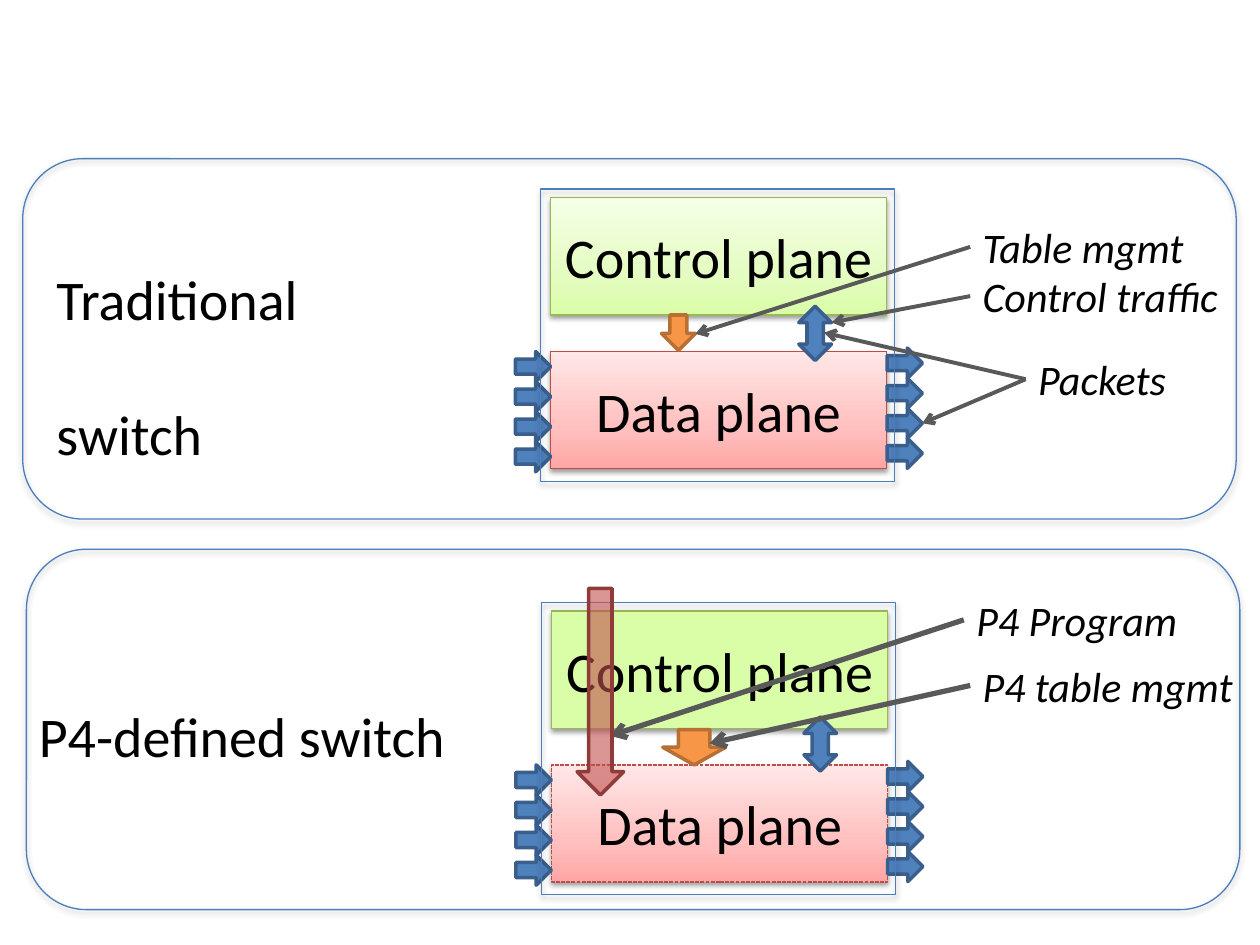
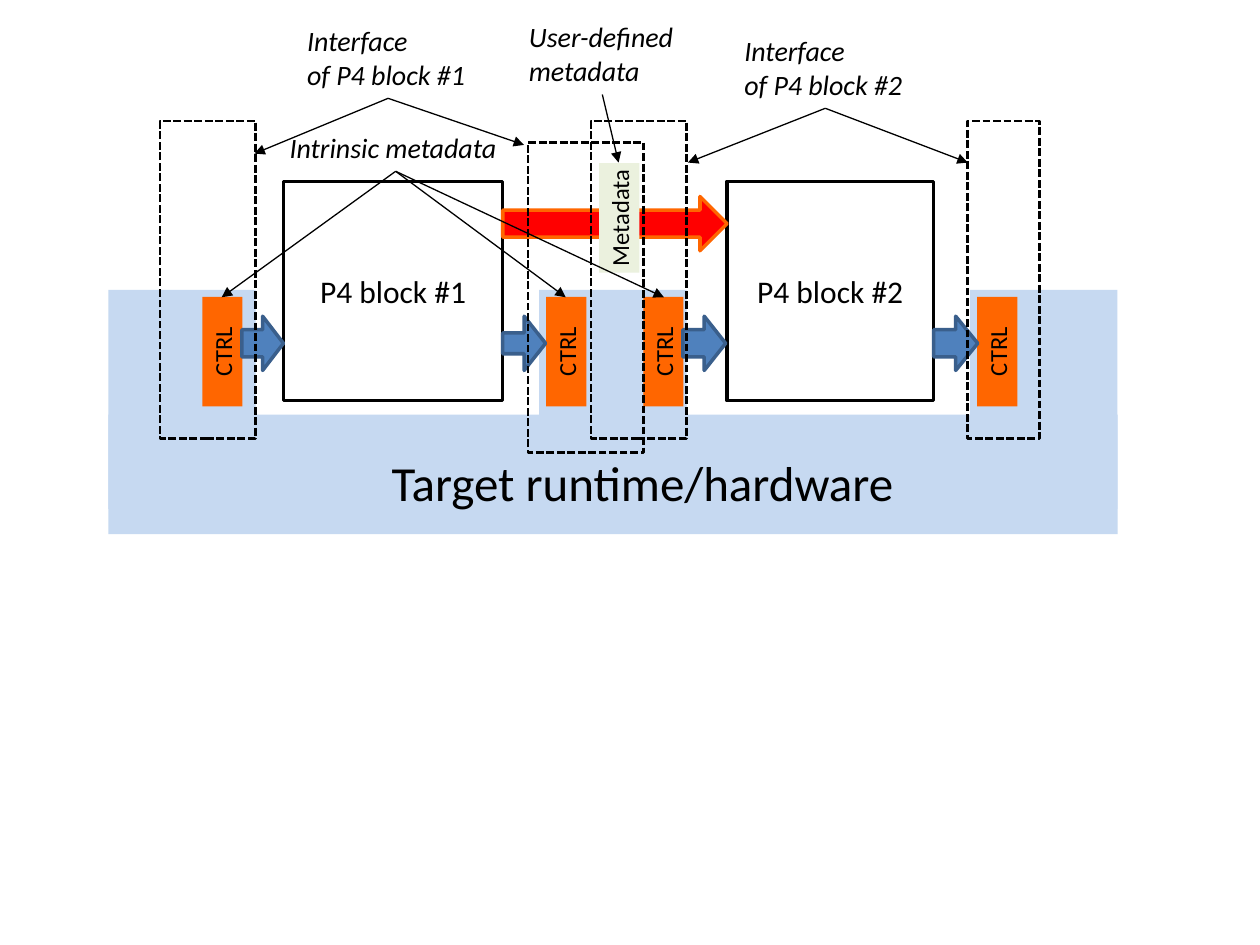
"""Build two slides on switch architecture and programmable block interfaces."""
from copy import deepcopy
from dataclasses import dataclass

from pptx import Presentation
from pptx.dml.color import RGBColor
from pptx.enum.dml import MSO_LINE as Dash
from pptx.enum.shapes import MSO_CONNECTOR, MSO_SHAPE as Shape
from pptx.enum.text import MSO_ANCHOR, MSO_AUTO_SIZE, PP_ALIGN
from pptx.oxml.ns import qn
from pptx.oxml.xmlchemy import OxmlElement
from pptx.util import Pt


@dataclass(frozen=True)
class Theme:
    font: str = "Calibri"
    ink: str = "000000"
    outline: str = "4B7EBC"
    flow: tuple = ("4F81BD", "3A5F8C")
    table: tuple = ("F79646", "B76F34")
    program: tuple = ("C0504D", "8E3B39")
    metadata_flow: tuple = ("FF0000", "FF6600")
    green: tuple = ((0, "DAFDA7"), (0.35, "E4FCC2"), (1, "F5FFE7"))
    green_line: str = "98B955"
    red: tuple = ((0, "FFA6A5"), (0.35, "FFC0BF"), (1, "FFE7E7"))
    red_line: str = "BF4C48"
    leader: str = "595959"
    runtime: str = "C6D9F1"
    control: str = "FF6600"
    metadata: str = "EBF1DE"
    title: int = 32
    runtime_size: int = 28
    label: int = 24
    block: int = 18
    note: int = 16
    tag: int = 14


THEME = Theme()
PLANE_SHADOW = (38, 1.6)
FRAME_SHADOW = (35, 1.8)

SWITCHES = [
    {
        "shift": (0, 0),
        "panel": (13, 90.7),
        "control_fill": THEME.green,
        "data_dash": None,
        "name": ("Traditional\nswitch", (25.2, 147.6, 156.2, 85)),
        "table_arrow": (378, 180, 19.4, 20.2),
        "packet_arrow": (456.5, 175),
        "program_arrow": None,
        "labels": [
            ("Table mgmt", (554.4, 123.1, 139, 36)),
            ("Control traffic", (554.4, 151.2, 156.2, 36)),
            ("Packets", (586.1, 198.7, 95.8, 36)),
        ],
        "leader_width": 2.25,
        "back_leaders": [
            ((554.4, 141.1), [(397.4, 190.8)]),
            ((554.4, 169.2), [(475.2, 184.3)]),
            ((586.1, 216.7), [(527, 241.9), (470.9, 190.1)]),
        ],
        "front_leaders": [],
    },
    {
        "shift": (0.6, 236.2),
        "panel": (15.1, 313.9),
        "control_fill": THEME.green[0][1],
        "data_dash": Dash.SQUARE_DOT,
        "name": ("P4-defined switch", (15.1, 397.4, 249.8, 46.1)),
        "table_arrow": (378.7, 416.9, 36, 20.2),
        "packet_arrow": (459.4, 409.7),
        "program_arrow": (329.8, 336.2, 26.6, 118.1),
        "labels": [
            ("P4 Program", (550.8, 336.2, 136, 36)),
            ("P4 table mgmt", (554.4, 373.7, 165.6, 36)),
        ],
        "leader_width": 3,
        "back_leaders": [((550.8, 354.2), [(348.5, 420.5)])],
        "front_leaders": [((554.4, 391.7), [(405.4, 424.8)])],
    },
]

BLOCKS = [("P4 block #1", 162, 125.3), ("P4 block #2", 415.4, 118.1)]
CONTROL_LEFTS = [95.8, 292.3, 347.8, 538.6]
FLOW_ARROWS = [(138.2, 23.8, None), (287.3, 24.5, 0.384),
               (390.2, 24.5, None), (533.5, 25.2, None)]
INTERFACES = [(91.4, 69.1, 54.7, 181.4), (301.7, 81.4, 66.2, 177.1),
              (337.7, 69.1, 54.7, 181.4), (553, 69.1, 41, 181.4)]
NOTES = [
    ("Interface\nof P4 block #1", (168.5, 10.1, 105.8, 46.1)),
    ("User-defined\nmetadata", (295.2, 7.9, 97.9, 46.1)),
    ("Interface\nof P4 block #2", (418.3, 15.8, 105.8, 46.1)),
    ("Intrinsic metadata", (158.4, 71.3, 133.9, 26.6)),
]
NOTE_LEADERS = [
    ((221.8, 56.2), [(145.4, 87.8), (299.5, 82.8)]),
    ((344.2, 54), [(353.5, 92.9)]),
    ((471.6, 61.9), [(393.1, 92.9), (553, 92.9)]),
    ((226.1, 97.9), [(126.7, 169.9), (323.3, 169.9), (379.4, 169.9)]),
]


def points(values):
    return [Pt(value) for value in values]


def child(parent, tag, **attributes):
    node = OxmlElement(tag)
    for key, value in attributes.items():
        node.set(key, str(value))
    parent.append(node)
    return node


def write(box, text, size, italic=False, align=PP_ALIGN.LEFT, wrap=True):
    frame = box.text_frame
    frame.text = text
    frame.word_wrap = wrap
    for para in frame.paragraphs:
        para.alignment = align
        for span in para.runs:
            span.font.name = THEME.font
            span.font.size = Pt(size)
            span.font.italic = italic
            span.font.color.rgb = RGBColor.from_string(THEME.ink)


def add_label(page, text, place, size, italic=False):
    box = page.shapes.add_textbox(*points(place))
    write(box, text, size, italic, wrap=False)
    box.text_frame.auto_size = MSO_AUTO_SIZE.SHAPE_TO_FIT_TEXT
    return box


def fill_gradient(box, colours):
    box.fill.gradient()
    box.fill.gradient_angle = 90
    stops = box.element.spPr.find(".//" + qn("a:gsLst"))
    stops.insert(1, deepcopy(stops[0]))
    for stop, (position, colour) in zip(box.fill.gradient_stops, colours):
        stop.position = position
        stop.color.rgb = RGBColor.from_string(colour)


def add_shadow(box, opacity, distance):
    effects = box.element.spPr.find(qn("a:effectLst"))
    shadow = child(effects, "a:outerShdw", blurRad=Pt(3.1), dist=Pt(distance),
                   dir=5400000, rotWithShape=0)
    colour = child(shadow, "a:srgbClr", val=THEME.ink)
    child(colour, "a:alpha", val=opacity * 1000)


def add_box(page, kind, place, fill=None, line=None, width=0.75, dash=None,
            shadow=None, opacity=None):
    box = page.shapes.add_shape(kind, *points(place))
    box.shadow.inherit = False
    if fill is None:
        box.fill.background()
    elif isinstance(fill, tuple):
        fill_gradient(box, fill)
    else:
        box.fill.solid()
        box.fill.fore_color.rgb = RGBColor.from_string(fill)
    if opacity:
        colour = box.element.spPr.find(".//" + qn("a:srgbClr"))
        child(colour, "a:alpha", val=opacity * 1000)
    if line:
        box.line.color.rgb = RGBColor.from_string(line)
        box.line.width = Pt(width)
        if dash:
            box.line.dash_style = dash
    else:
        box.line.fill.background()
    if shadow:
        add_shadow(box, *shadow)
    return box


def add_text_box(page, text, size, place, wrap=True, **style):
    box = add_box(page, Shape.RECTANGLE, place, **style)
    write(box, text, size, align=PP_ALIGN.CENTER, wrap=wrap)
    box.text_frame.vertical_anchor = MSO_ANCHOR.MIDDLE
    return box


def add_arrow(page, kind, place, colours, opacity=None):
    return add_box(page, kind, place, *colours, width=2, opacity=opacity)


def add_leaders(page, groups, colour, width, head):
    for start, ends in groups:
        for end in ends:
            leader = page.shapes.add_connector(
                MSO_CONNECTOR.STRAIGHT, *points(start + end))
            leader.line.color.rgb = RGBColor.from_string(colour)
            leader.line.width = Pt(width)
            properties = leader.element.spPr
            child(properties.find(qn("a:ln")), "a:tailEnd", type=head)
            child(properties, "a:effectLst")


def draw_switch(page, switch):
    dx, dy = switch["shift"]
    add_box(page, Shape.ROUNDED_RECTANGLE, (*switch["panel"], 693.4, 205.9),
            line=THEME.outline, shadow=FRAME_SHADOW)
    planes = [
        ("Control plane", 113, switch["control_fill"], THEME.green_line, None),
        ("Data plane", 200.9, THEME.red, THEME.red_line, switch["data_dash"]),
    ]
    for text, top, fill, line, dash in planes:
        add_text_box(page, text, THEME.title, (314.6 + dx, top + dy, 192.2, 67),
                     fill=fill, line=line, dash=dash, shadow=PLANE_SHADOW)
    for left, top in ((294.5, 200.9), (506.9, 198.9)):
        for row in range(4):
            place = (left + dx / 2, top + dy + 17.15 * row, 20.2, 17.3)
            add_arrow(page, Shape.RIGHT_ARROW, place, THEME.flow)
    add_arrow(page, Shape.DOWN_ARROW, switch["table_arrow"], THEME.table)
    add_box(page, Shape.RECTANGLE, (308.9 + dx, 108 + dy, 202.3, 167),
            line=THEME.outline, shadow=FRAME_SHADOW)
    name = add_label(page, *switch["name"], THEME.title)
    for para in name.text_frame.paragraphs[1:]:
        para.space_before = Pt(39)
    for text, place in switch["labels"]:
        add_label(page, text, place, THEME.label, italic=True)
    leader_style = (THEME.leader, switch["leader_width"], "arrow")
    add_leaders(page, switch["back_leaders"], *leader_style)
    if switch["program_arrow"]:
        add_arrow(page, Shape.DOWN_ARROW, switch["program_arrow"],
                  THEME.program, opacity=60)
    add_arrow(page, Shape.UP_DOWN_ARROW, (*switch["packet_arrow"], 18.7, 31),
              THEME.flow)
    add_leaders(page, switch["front_leaders"], *leader_style)


def draw_blocks(page):
    runtime = [(61.9 + 246.25 * column, 165.6, 84.2, 125.3) for column in range(3)]
    for place in runtime + [(61.9, 236.9, 576.7, 68.4)]:
        add_box(page, Shape.RECTANGLE, place, fill=THEME.runtime)
    for text, left, width in BLOCKS:
        add_text_box(page, text, THEME.block, (left, 103.7, width, 125.3),
                     line=THEME.ink, width=2)
    for left in CONTROL_LEFTS:
        tag = add_text_box(page, "CTRL", THEME.tag, (left, 189.4, 62.6, 23),
                           fill=THEME.control)
        tag.rotation = 270
    for left, width, thickness in FLOW_ARROWS:
        arrow = add_arrow(page, Shape.RIGHT_ARROW, (left, 180.7, width, 31),
                          THEME.flow)
        if thickness:
            arrow.adjustments[0] = thickness
    add_arrow(page, Shape.RIGHT_ARROW, (287.3, 112.3, 128.2, 31),
              THEME.metadata_flow)
    add_label(page, "Target runtime/hardware", (216.7, 254.9, 304.6, 41),
              THEME.runtime_size)
    tag = add_text_box(page, "Metadata", THEME.tag, (322.6, 113, 62.6, 23),
                       wrap=False, fill=THEME.metadata)
    tag.rotation = 270
    for place in INTERFACES:
        add_box(page, Shape.RECTANGLE, place, line=THEME.ink, width=1.5,
                dash=Dash.SQUARE_DOT)
    for text, place in NOTES:
        add_label(page, text, place, THEME.note, italic=True)
    add_leaders(page, NOTE_LEADERS, THEME.ink, 0.75, "triangle")


deck = Presentation()
deck.slide_width, deck.slide_height = Pt(720), Pt(540)
switch_page, block_page = [
    deck.slides.add_slide(deck.slide_layouts[6]) for _ in range(2)]
for switch in SWITCHES:
    draw_switch(switch_page, switch)
draw_blocks(block_page)
deck.save("out.pptx")
